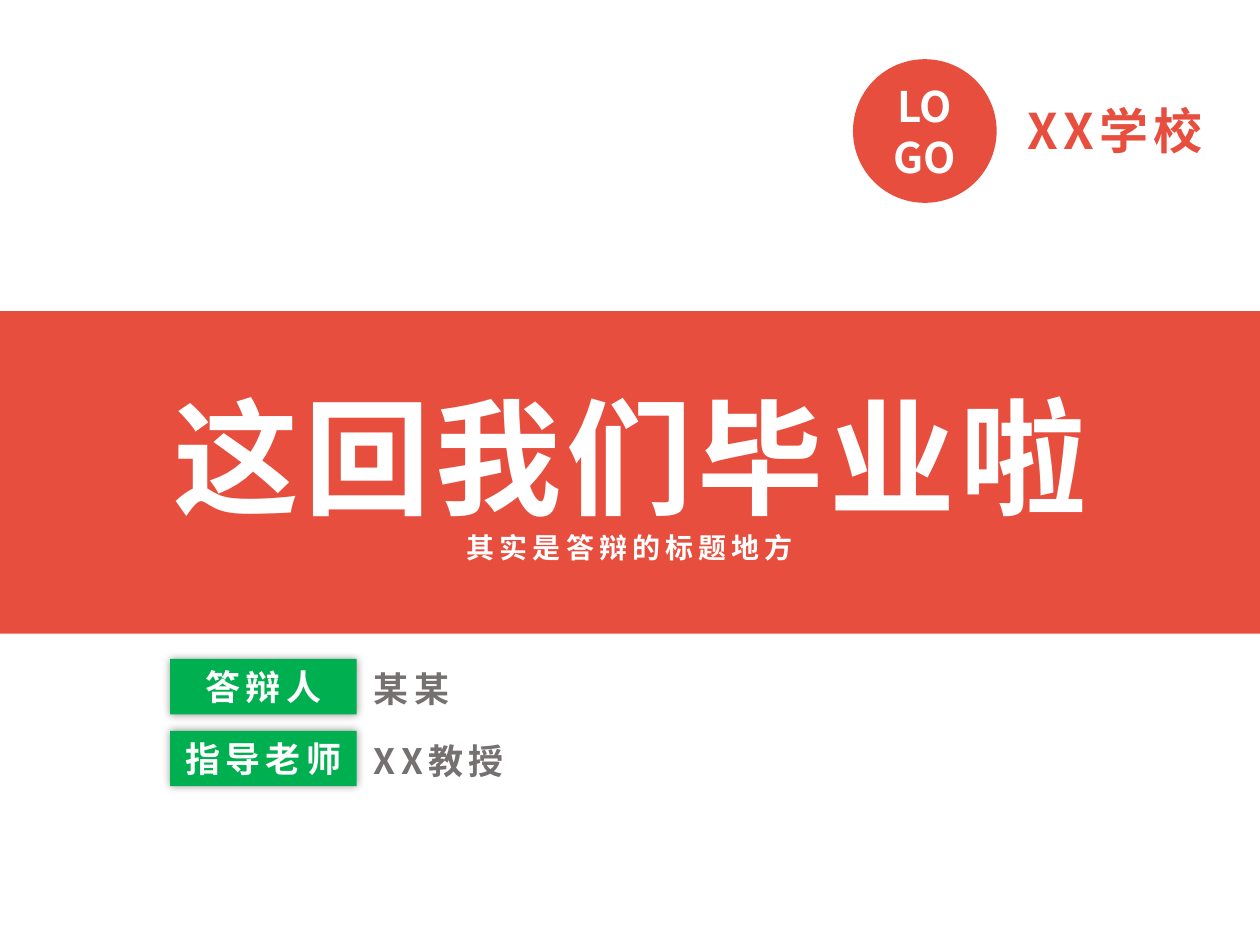
from dataclasses import dataclass

from lxml import etree
from pptx import Presentation
from pptx.dml.color import RGBColor
from pptx.enum import shapes, text
from pptx.oxml.ns import qn
from pptx.util import Inches, Pt

FONT = "Noto Sans CJK SC"
RED = RGBColor(0xE7, 0x4E, 0x3E)
GREEN = RGBColor(0x00, 0xB0, 0x50)
GRAY = RGBColor(0x76, 0x71, 0x71)
WHITE = RGBColor(0xFF, 0xFF, 0xFF)
WIDTH, HEIGHT = 10, 7.5
SPACING = 3  # points between letters

# Grid of the people below the band
LABEL_LEFT, NAME_LEFT = 1.35, 2.87
FIRST_ROW, ROW_STEP, ROW_HEIGHT = 5.23, 0.57, 0.44


@dataclass
class Box:
    left: float
    top: float
    width: float
    height: float

    def lengths(self) -> list:
        return [Inches(v) for v in (self.left, self.top, self.width, self.height)]


@dataclass
class Person:
    role: str
    name: str


PEOPLE = [Person("答辩人", "某某"), Person("指导老师", "XX教授")]


def style(paragraph, size: int, color: RGBColor, centred: bool = False,
          spacing: int = SPACING) -> None:
    paragraph.alignment = text.PP_ALIGN.CENTER if centred else text.PP_ALIGN.LEFT
    for run in paragraph.runs:
        font = run.font
        font.size, font.bold, font.name = Pt(size), True, FONT
        font.color.rgb = color
        properties = run._r.get_or_add_rPr()
        etree.SubElement(properties, qn("a:ea"), typeface=FONT)
        if spacing:
            properties.set("spc", str(spacing * 100))


def add_block(slide, kind, box: Box, fill: RGBColor):
    block = slide.shapes.add_shape(kind, *box.lengths())
    block.shadow.inherit = False
    block.fill.solid()
    block.fill.fore_color.rgb = fill
    block.line.fill.background()
    return block


def add_block_text(block, words: str, size: int, spacing: int = SPACING) -> None:
    frame = block.text_frame
    frame.text = words
    frame.word_wrap = True
    frame.vertical_anchor = text.MSO_ANCHOR.MIDDLE
    style(frame.paragraphs[0], size, WHITE, True, spacing)


def add_glow_shadow(block) -> None:
    effects = block._element.spPr.find(qn("a:effectLst"))
    shadow = etree.SubElement(effects, qn("a:outerShdw"), blurRad=str(Pt(5)),
                              dist="0", dir="0", algn="ctr", rotWithShape="0")
    color = etree.SubElement(shadow, qn("a:srgbClr"), val="000000")
    etree.SubElement(color, qn("a:alpha"), val="40000")


def add_words(slide, box: Box, words: str, size: int, color: RGBColor) -> None:
    frame = slide.shapes.add_textbox(*box.lengths()).text_frame
    frame.word_wrap = True
    frame.auto_size = text.MSO_AUTO_SIZE.SHAPE_TO_FIT_TEXT
    frame.text = words
    style(frame.paragraphs[0], size, color)


def place_title(slide, band, box: Box) -> None:
    title = slide.shapes.title
    title.left, title.top, title.width, title.height = box.lengths()
    frame = title.text_frame
    frame.text = "这回我们毕业啦\n其实是答辩的标题地方"
    frame.word_wrap = True
    frame.vertical_anchor = text.MSO_ANCHOR.TOP
    frame.auto_size = text.MSO_AUTO_SIZE.SHAPE_TO_FIT_TEXT
    for paragraph, size in zip(frame.paragraphs, (72, 16)):
        style(paragraph, size, WHITE, True)
    band.element.addnext(title.element)  # in front of the band


def main() -> None:
    deck = Presentation()
    deck.slide_width, deck.slide_height = Inches(WIDTH), Inches(HEIGHT)
    slide = deck.slides.add_slide(deck.slide_layouts[5])

    # School badge and name
    badge = add_block(slide, shapes.MSO_SHAPE.OVAL, Box(6.77, 0.47, 1.14, 1.14), RED)
    add_block_text(badge, "LOGO", 24, spacing=0)
    add_words(slide, Box(8.06, 0.75, 1.77, 0.57), "XX学校", 28, RED)

    # Title band
    band = add_block(slide, shapes.MSO_SHAPE.RECTANGLE, Box(0, 2.47, WIDTH, 2.56), RED)
    place_title(slide, band, Box(1.16, 2.96, 7.68, 1.58))

    # Speaker and supervisor
    for row, person in enumerate(PEOPLE):
        top = FIRST_ROW + row * ROW_STEP
        label = add_block(slide, shapes.MSO_SHAPE.RECTANGLE,
                          Box(LABEL_LEFT, top, 1.48, ROW_HEIGHT), GREEN)
        add_block_text(label, person.role, 20)
        add_glow_shadow(label)
        add_words(slide, Box(NAME_LEFT, top + 0.02, 1.77, ROW_HEIGHT),
                  person.name, 20, GRAY)

    deck.save("out.pptx")


if __name__ == "__main__":
    main()
